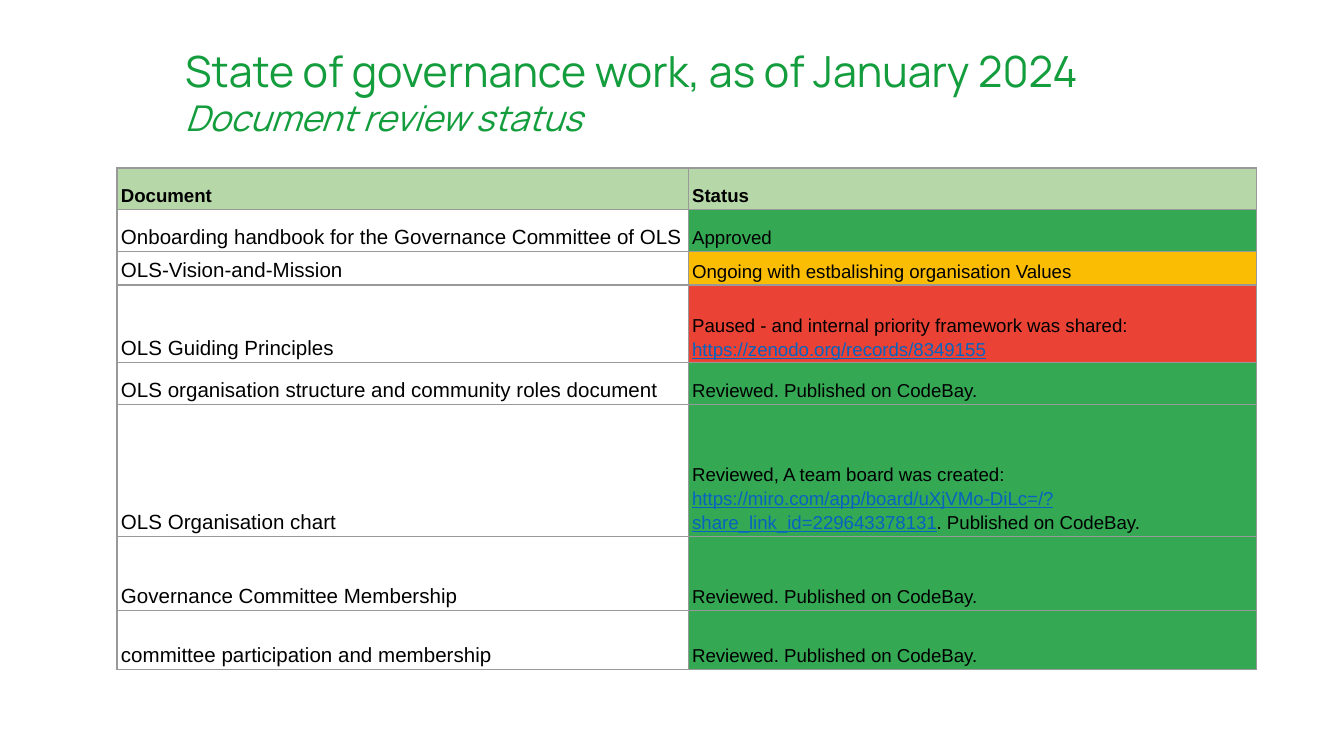
import pptx
import pptx.util
import pptx.dml.color
import pptx.enum.text
import pptx.oxml
import pptx.oxml.ns

Pt = pptx.util.Pt
Inches = pptx.util.Inches
RGB = pptx.dml.color.RGBColor.from_string
Anchor = pptx.enum.text.MSO_ANCHOR

THEME = {
    "title": {"name": "Manrope", "size": Pt(23)},
    "sub": {"name": "Manrope", "size": Pt(19), "italic": True},
    "head": {"name": "Arial", "size": Pt(10), "bold": True},
    "name": {"name": "Arial", "size": Pt(11), "bold": False},
    "state": {"name": "Arial", "size": Pt(10), "bold": False},
    "link": {"name": "Arial", "size": Pt(10), "bold": False, "underline": True},
    "ink": {"title": "139D3D", "sub": "139D3D", "link": "0563C1"},
    "black": "000000",
    "edge": "999999",
    "fill": {"head": "B6D7A8", "done": "34A853", "open": "FBBC04", "hold": "EA4335"},
}

TITLE = ("State of governance work, as of January 2024", "Document review status")
HEADS = ("Document", "Status")
DONE = [("state", "Reviewed. Published on CodeBay.")]
ROWS = [
    (0.31, "Onboarding handbook for the Governance Committee of OLS", "done",
     [("state", "Approved")]),
    (0.24, "OLS-Vision-and-Mission", "open",
     [("state", "Ongoing with estbalishing organisation Values")]),
    (0.58, "OLS Guiding Principles", "hold",
     [("state", "Paused - and internal priority framework was shared: "),
      ("link", "https://zenodo.org/records/8349155")]),
    (0.31, "OLS organisation structure and community roles document", "done", DONE),
    (0.98, "OLS Organisation chart", "done",
     [("state", "Reviewed, A team board was created: "),
      ("link", "https://miro.com/app/board/uXjVMo-DiLc=/?share_link_id=229643378131"),
      ("state", ". Published on CodeBay.")]),
    (0.55, "Governance Committee Membership", "done", DONE),
    (0.44, "committee participation and membership", "done", DONE),
]
WIDE = Inches(10)
HEAD_H = 0.31
COLS = (4.25, 4.23)


def put(item, values):
    for key, value in values.items():
        setattr(item, key, value)


def write(para, runs):
    for style, text in runs:
        run = para.add_run()
        run.text = text
        put(run.font, THEME[style])
        run.font.color.rgb = RGB(THEME["ink"].get(style, THEME["black"]))


def border(cell):
    props = cell._tc.get_or_add_tcPr()
    for spot, side in enumerate(("lnL", "lnR", "lnT", "lnB")):
        props.insert(spot, pptx.oxml.parse_xml(
            f'<a:{side} {pptx.oxml.ns.nsdecls("a")} w="{Pt(0.75)}"><a:solidFill>'
            f'<a:srgbClr val="{THEME["edge"]}"/></a:solidFill></a:{side}>'))


def fill_cell(cell, runs, tone):
    put(cell, {"margin_left": Inches(0.03), "margin_right": Inches(0.03),
               "margin_top": Inches(0.02), "margin_bottom": Inches(0.02),
               "vertical_anchor": Anchor.BOTTOM})
    if tone:
        cell.fill.solid()
        cell.fill.fore_color.rgb = RGB(THEME["fill"][tone])
    else:
        cell.fill.background()
    para = cell.text_frame.paragraphs[0]
    para.line_spacing = 1.15
    write(para, runs)
    border(cell)


def add_title(slide):
    box = slide.shapes.add_textbox(Inches(1.28), Inches(0.23), Inches(7.44), Inches(0.58))
    put(box.text_frame, {"word_wrap": True, "vertical_anchor": Anchor.TOP,
                         "margin_left": Inches(0.1), "margin_right": Inches(0.1),
                         "margin_top": Inches(0.1), "margin_bottom": Inches(0.1)})
    para = box.text_frame.paragraphs[0]
    write(para, [("title", TITLE[0])])
    para.add_line_break()
    write(para, [("sub", TITLE[1])])


def add_grid(slide):
    highs = [HEAD_H] + [row[0] for row in ROWS]
    frame = slide.shapes.add_table(len(highs), len(COLS), Inches(0.87), Inches(1.25),
                                   Inches(sum(COLS)), Inches(sum(highs)))
    grid = frame.table
    put(grid, {"first_row": False, "horz_banding": False})
    for col, wide in zip(grid.columns, COLS):
        col.width = Inches(wide)
    for row, high in zip(grid.rows, highs):
        row.height = Inches(high)
    for spot, text in enumerate(HEADS):
        fill_cell(grid.cell(0, spot), [("head", text)], "head")
    for spot, (_, name, tone, runs) in enumerate(ROWS, 1):
        fill_cell(grid.cell(spot, 0), [("name", name)], None)
        fill_cell(grid.cell(spot, 1), runs, tone)


def main():
    deck = pptx.Presentation()
    put(deck, {"slide_width": WIDE, "slide_height": WIDE * 9 // 16})
    slide = deck.slides.add_slide(deck.slide_layouts[6])
    add_title(slide)
    add_grid(slide)
    deck.save("out.pptx")


if __name__ == "__main__":
    main()
